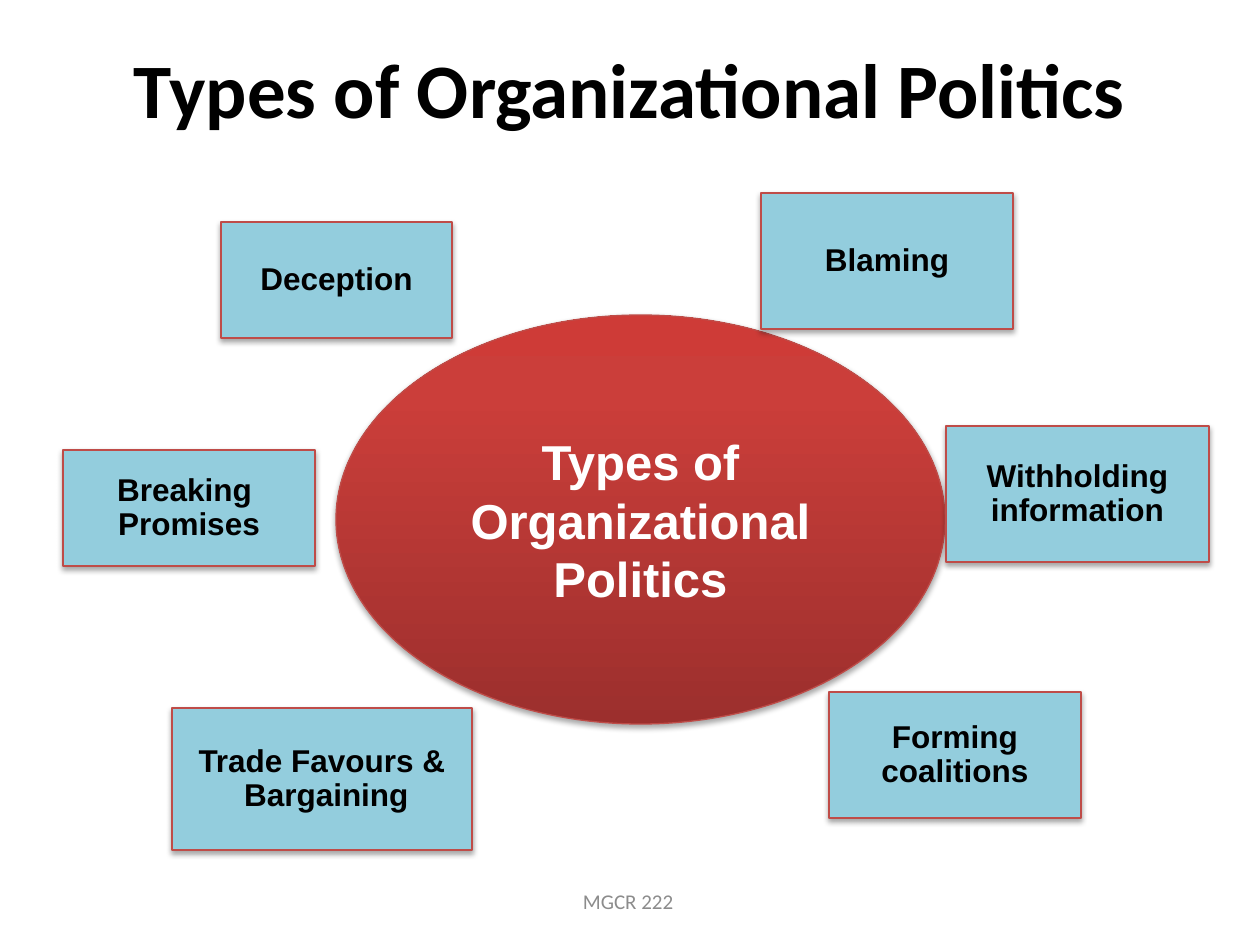
"""Build the slide on types of organizational politics."""
from lxml import etree
from pptx import Presentation
from pptx import util as u
from pptx.dml.color import RGBColor
from pptx.enum import shapes, text
from pptx.oxml.ns import qn

PX = 914400 / 126
BLACK = RGBColor(0x00, 0x00, 0x00)
WHITE = RGBColor(0xFF, 0xFF, 0xFF)
GREY = RGBColor(0x8C, 0x8C, 0x8C)
RED = RGBColor(0xBF, 0x4C, 0x48)
BLUE = RGBColor(0x93, 0xCD, 0xDD)
HUB_STOPS = [
    (0, RGBColor(0x9C, 0x2F, 0x2D)),
    (80, RGBColor(0xCB, 0x3E, 0x3A)),
    (100, RGBColor(0xCE, 0x3B, 0x37)),
]

TITLE = (["Types of Organizational Politics"], (63, 9, 1134, 157))
FOOTER = (["MGCR 222 "], (431, 876, 399, 50))
HUB = (["Types of", "Organizational", "Politics"], (336, 315, 609, 409))
TACTICS = [
    (["Blaming"], (761, 193, 252, 136)),
    (["Breaking ", "Promises"], (63, 450, 252, 116)),
    (["Withholding", "information"], (946, 426, 263, 136)),
    (["Forming\vcoalitions"], (829, 692, 252, 126)),
    (["Deception"], (221, 222, 231, 116)),
    (["Trade Favours &", " Bargaining"], (172, 708, 300, 142)),
]


def place(bounds):
    return [u.Emu(round(value * PX)) for value in bounds]


def write(shape, lines, size, color, font="Arial", bold=True, spacing=None, wrap=False):
    frame = shape.text_frame
    frame.word_wrap = wrap
    frame.vertical_anchor = text.MSO_ANCHOR.MIDDLE
    for index, line in enumerate(lines):
        para = frame.add_paragraph() if index else frame.paragraphs[0]
        para.text = line
        para.alignment = text.PP_ALIGN.CENTER
        para.line_spacing = spacing
        para.font.name = font
        para.font.size = u.Pt(size)
        para.font.bold = bold
        para.font.color.rgb = color


def add_outlined(page, preset, bounds):
    shape = page.shapes.add_shape(preset, *place(bounds))
    shape.line.color.rgb = RED
    shape.line.width = u.Pt(0.75)
    shape.shadow.inherit = False
    effects = shape._element.spPr.find(qn("a:effectLst"))
    shadow = etree.SubElement(effects, qn("a:outerShdw"), blurRad="40000",
                              dist="23000", dir="5400000", rotWithShape="0")
    color = etree.SubElement(shadow, qn("a:srgbClr"), val=str(BLACK))
    etree.SubElement(color, qn("a:alpha"), val="35000")
    return shape


def fill_gradient(shape, stops):
    shape.fill.gradient()
    shape.fill.gradient_angle = 90
    stop_list = shape._element.spPr.find(".//" + qn("a:gsLst"))
    for stop in list(stop_list):
        stop_list.remove(stop)
    for percent, color in stops:
        stop = etree.SubElement(stop_list, qn("a:gs"), pos=str(percent * 1000))
        etree.SubElement(stop, qn("a:srgbClr"), val=str(color))


def main():
    deck = Presentation()
    deck.slide_width, deck.slide_height = u.Inches(10), u.Inches(7.5)
    page = deck.slides.add_slide(deck.slide_layouts[6])

    lines, bounds = HUB
    hub = add_outlined(page, shapes.MSO_SHAPE.OVAL, bounds)
    fill_gradient(hub, HUB_STOPS)
    write(hub, lines, 28, WHITE)

    for lines, bounds in TACTICS:
        box = add_outlined(page, shapes.MSO_SHAPE.RECTANGLE, bounds)
        box.fill.solid()
        box.fill.fore_color.rgb = BLUE
        write(box, lines, 18, BLACK, spacing=0.9)

    for (lines, bounds), size, color, bold in [(TITLE, 44, BLACK, True), (FOOTER, 12, GREY, False)]:
        box = page.shapes.add_textbox(*place(bounds))
        write(box, lines, size, color, "Calibri", bold, wrap=True)

    deck.save("out.pptx")


if __name__ == "__main__":
    main()
